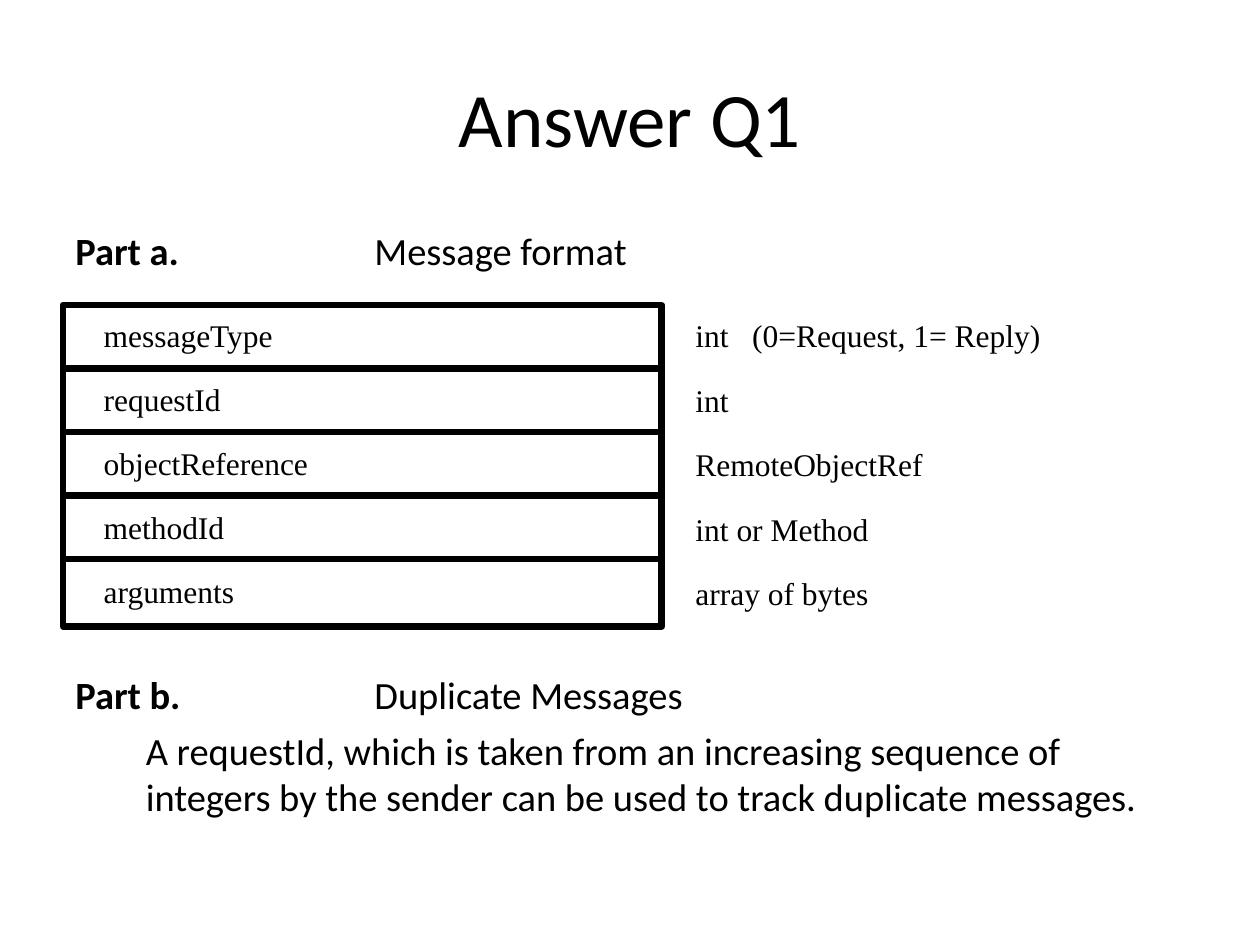
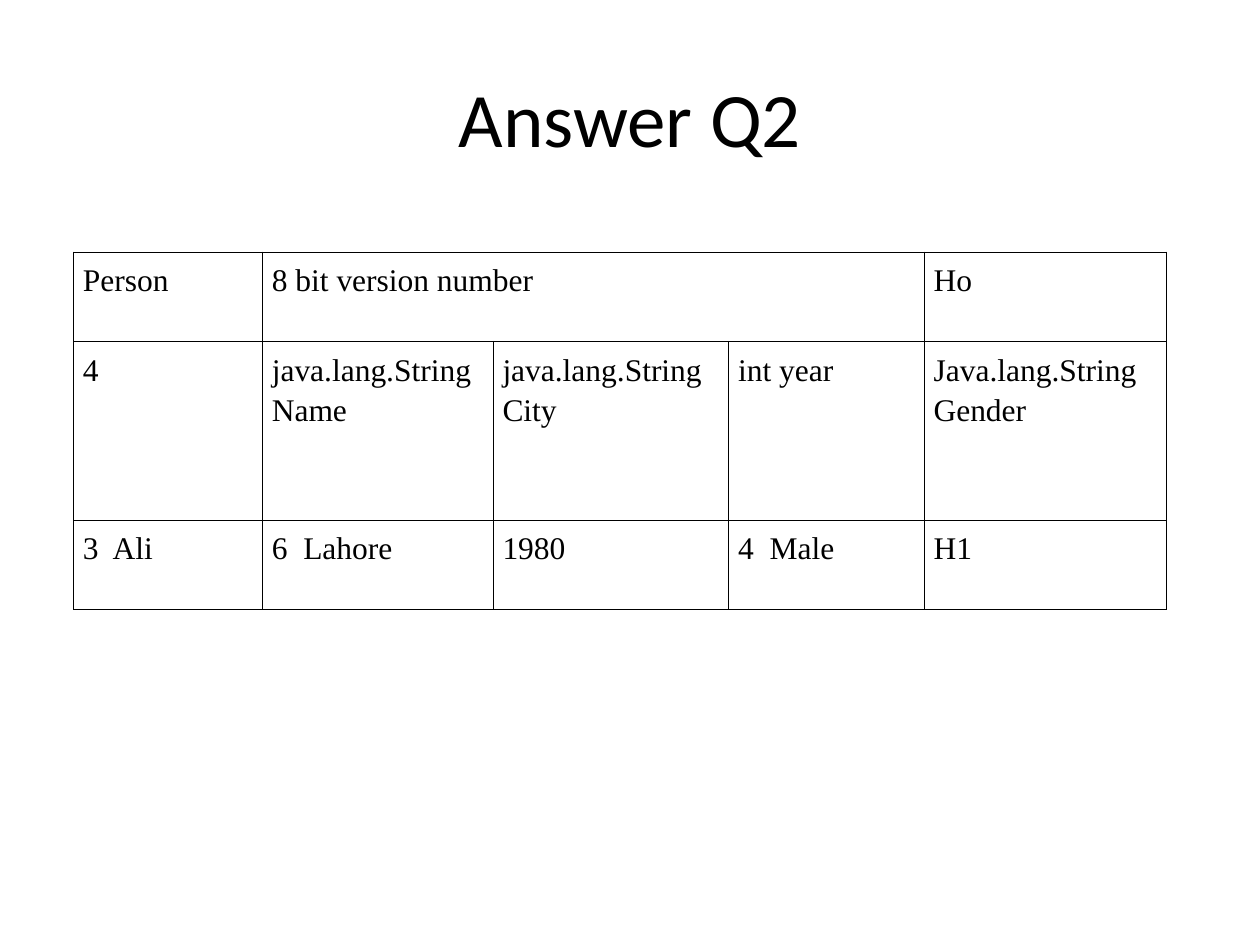
from dataclasses import dataclass

from lxml.etree import SubElement
from pptx import Presentation
from pptx.dml.color import RGBColor
from pptx.enum.shapes import MSO_CONNECTOR, MSO_SHAPE
from pptx.enum.text import MSO_ANCHOR, PP_ALIGN
from pptx.oxml.ns import qn
from pptx.util import Cm, Pt


@dataclass(frozen=True)
class Theme:
    ink: str = "000000"
    sans: str = "Calibri"
    serif: str = "Times New Roman"
    title: float = 44
    body: float = 22
    label: float = 18
    rule: float = 3.75
    hair: float = 0.45


class Deck:
    def __init__(self, theme):
        self.theme = theme
        self.ink = RGBColor.from_string(theme.ink)
        self.prs = Presentation()
        self.prs.slide_width = Cm(25.4)
        self.prs.slide_height = Cm(19.05)
        self.slide = None

    def style(self, para, face, size, bold=False):
        for run in para.runs:
            font = run.font
            font.name, font.size, font.bold = face, Pt(size), bold
            font.color.rgb = self.ink

    def page(self, title):
        self.slide = self.prs.slides.add_slide(self.prs.slide_layouts[5])
        head = self.slide.shapes.title
        head.left, head.top, head.width, head.height = Cm(1.27), Cm(0.76), Cm(22.86), Cm(3.18)
        frame = head.text_frame
        frame.text = title
        frame.vertical_anchor = MSO_ANCHOR.MIDDLE
        para = frame.paragraphs[0]
        para.alignment = PP_ALIGN.CENTER
        self.style(para, self.theme.sans, self.theme.title)

    def box(self, left, top, width, height):
        area = self.slide.shapes.add_textbox(Cm(left), Cm(top), Cm(width), Cm(height))
        return area.text_frame

    def answer(self, top, name, topic, detail=None):
        theme = self.theme
        frame = self.box(1.27, top, 22.86, 3.6 if detail else 1.2)
        frame.word_wrap = True
        para = frame.paragraphs[0]
        tabs = SubElement(para._p.get_or_add_pPr(), qn("a:tabLst"))
        SubElement(tabs, qn("a:tab"), pos=str(Cm(6.03)), algn="l")
        para.text = name + "\t"
        para.add_run().text = topic
        self.style(para, theme.sans, theme.body)
        para.runs[0].font.bold = True
        if detail:
            para = frame.add_paragraph()
            para.text = detail
            para.space_before = Pt(5.5)
            para._p.get_or_add_pPr().set("marL", str(Cm(1.42)))
            self.style(para, theme.sans, theme.body)

    def label(self, left, top, width, text):
        frame = self.box(left, top, width, 0.76)
        frame.word_wrap = False
        frame.margin_left = frame.margin_right = 0
        frame.margin_top = frame.margin_bottom = 0
        frame.text = text
        self.style(frame.paragraphs[0], self.theme.serif, self.theme.label)

    def stroke(self, shape):
        shape.line.color.rgb = self.ink
        shape.line.width = Pt(self.theme.rule)

    def frame(self, left, top, width, height):
        rect = self.slide.shapes.add_shape(
            MSO_SHAPE.RECTANGLE, Cm(left), Cm(top), Cm(width), Cm(height))
        rect.shadow.inherit = False
        rect.fill.background()
        self.stroke(rect)

    def rule(self, left, right, top):
        line = self.slide.shapes.add_connector(
            MSO_CONNECTOR.STRAIGHT, Cm(left), Cm(top), Cm(right), Cm(top))
        self.stroke(line)
        SubElement(line._element.spPr, qn("a:effectLst"))

    def edge(self, cell):
        props = cell._tc.get_or_add_tcPr()
        for spot, side in enumerate("LRTB"):
            line = SubElement(props, qn("a:ln" + side), w=str(Pt(self.theme.hair)))
            fill = SubElement(line, qn("a:solidFill"))
            SubElement(fill, qn("a:srgbClr"), val=self.theme.ink)
            props.insert(spot, line)

    def table(self, left, top, cols, rows, cells, spans):
        grid = self.slide.shapes.add_table(
            len(rows), len(cols), Cm(left), Cm(top), Cm(sum(cols)), Cm(sum(rows))).table
        grid.first_row = grid.horz_banding = False
        for col, width in zip(grid.columns, cols):
            col.width = Cm(width)
        for row, height in zip(grid.rows, rows):
            row.height = Cm(height)
        for row, texts in zip(grid.rows, cells):
            for cell, text in zip(row.cells, texts):
                cell.fill.background()
                self.edge(cell)
                cell.margin_left = cell.margin_right = Cm(0.19)
                cell.margin_top = cell.margin_bottom = Cm(0.13)
                cell.text_frame.text = text
                for para in cell.text_frame.paragraphs:
                    para.line_spacing = 1.15
                    self.style(para, self.theme.serif, self.theme.label)
        for start, end in spans:
            grid.cell(*start).merge(grid.cell(*end))


def format_page(deck):
    deck.page("Answer Q1")
    deck.answer(4.45, "Part a.", "Message format")
    deck.answer(13.41, "Part b.", "Duplicate Messages",
                "A requestId, which is taken from an increasing sequence of "
                "integers by the sender can be used to track duplicate messages.")
    left, top, width, step = 1.27, 6.15, 12.07, 1.28
    deck.frame(left, top, width, 6.48)
    fields = [
        ("messageType", "int   (0=Request, 1= Reply)"),
        ("requestId", "int"),
        ("objectReference", "RemoteObjectRef"),
        ("methodId", "int or Method"),
        ("arguments", "array of bytes"),
    ]
    for num, (name, kind) in enumerate(fields):
        if num:
            deck.rule(left, left + width - 0.08, top + num * step)
        deck.label(2.09, 6.38 + num * 1.29, 4.2, name)
        deck.label(14.02, 6.38 + num * 1.3, 7, kind)


def person_page(deck):
    deck.page("Answer Q2")
    cells = [
        ["Person", "8 bit version number", "", "", "Ho"],
        ["4", "java.lang.String\nName", "java.lang.String\nCity", "int year",
         "Java.lang.String\nGender"],
        ["3  Ali", "6  Lahore", "1980", "4  Male", "H1"],
    ]
    deck.table(1.48, 5.08, [3.81, 4.65, 4.75, 3.94, 4.88], [1.8, 3.6, 1.8],
               cells, [((0, 1), (0, 3))])


def main():
    deck = Deck(Theme())
    format_page(deck)
    person_page(deck)
    deck.prs.save("out.pptx")


if __name__ == "__main__":
    main()
